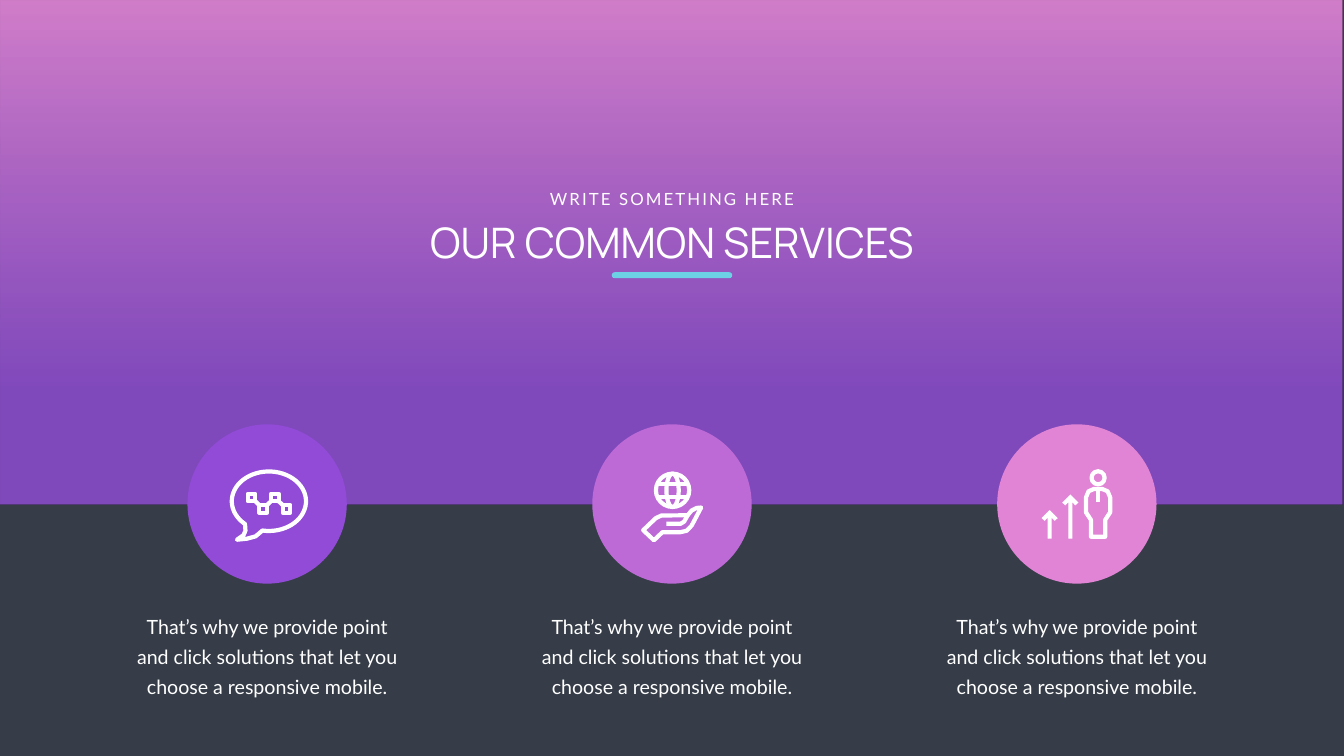
from math import cos, radians, sin

from lxml.etree import SubElement
from pptx import Presentation
from pptx.dml.color import RGBColor
from pptx.enum.shapes import MSO_CONNECTOR, MSO_SHAPE
from pptx.enum.text import MSO_ANCHOR, PP_ALIGN
from pptx.oxml.ns import qn
from pptx.util import Cm, Pt

WIDE, HIGH = 67.72, 38.1
WHITE, DARK = "FFFFFF", "363D48"
PINK, VIOLET, AQUA = "E184D6", "914BD7", "6CD1E5"
MID = WIDE / 2
EDGE = 25.4     # centre line of the circles
PITCH = 20.4    # gap between circle centres
DISC = 8.03
BODY = ("That’s why we provide point and click solutions "
        "that let you choose a responsive mobile.")


def tint(code):
    return RGBColor.from_string(code)


class Slide:
    """Draws on one slide; lengths are centimetres from (left, top)."""

    pen = 6

    def __init__(self, deck):
        self.page = deck.slides.add_slide(deck.slide_layouts[6])
        self.left = self.top = 0

    def origin(self, left, top):
        self.left, self.top = left, top

    def spot(self, x, y):
        return Cm(self.left + x), Cm(self.top + y)

    def ground(self, code):
        fill = self.page.background.fill
        fill.solid()
        fill.fore_color.rgb = tint(code)

    def paint(self, shape, fill=None, line=None):
        shape.shadow.inherit = False
        for part, code in ((shape.fill, fill), (shape.line.fill, line)):
            if code:
                part.solid()
                part.fore_color.rgb = tint(code)
            else:
                part.background()
        if line:
            shape.line.width = Pt(self.pen)
        return shape

    def form(self, kind, x, y, wide, high, fill=None, line=None):
        """Preset shape centred on (x, y)."""
        shape = self.page.shapes.add_shape(
            kind, *self.spot(x - wide / 2, y - high / 2), Cm(wide), Cm(high))
        return self.paint(shape, fill, line)

    def fade(self, shape, stops):
        shape.fill.gradient()
        shape.fill.gradient_angle = 270
        for stop, (place, code, alpha) in zip(shape.fill.gradient_stops, stops):
            stop.position = place
            stop.color.rgb = tint(code)
            node = shape.fill._xPr.findall(".//" + qn("a:srgbClr"))[-1 if place else 0]
            SubElement(node, qn("a:alpha")).set("val", str(alpha * 1000))

    def trace(self, *loops, close=True, fill=None, line=None):
        """One outline of several loops; a loop of two dots stays open."""
        pen = None
        for loop in loops:
            dots = [self.spot(x, y) for x, y in loop]
            if pen:
                pen.move_to(*dots[0])
            else:
                pen = self.page.shapes.build_freeform(*dots[0])
            pen.add_line_segments(dots[1:], close=close and len(dots) > 2)
        return self.paint(pen.convert_to_shape(), fill, line)

    def stroke(self, x1, y1, x2, y2):
        link = self.page.shapes.add_connector(
            MSO_CONNECTOR.STRAIGHT, *self.spot(x1, y1), *self.spot(x2, y2))
        link.line.width = Pt(self.pen)
        link.line.color.rgb = tint(WHITE)
        SubElement(link._element.spPr, qn("a:effectLst"))

    def text(self, words, x, y, wide, high, size, font, lead=None, space=None):
        """Centred text in a box whose top middle is (x, y)."""
        box = self.page.shapes.add_textbox(
            *self.spot(x - wide / 2, y), Cm(wide), Cm(high))
        frame = box.text_frame
        frame.word_wrap = True
        frame.vertical_anchor = MSO_ANCHOR.TOP if lead else MSO_ANCHOR.MIDDLE
        para = frame.paragraphs[0]
        run = para.add_run()
        run.text = words
        para.alignment = PP_ALIGN.CENTER
        if lead:
            para.line_spacing = Pt(lead)
        para.font.size, para.font.name = Pt(size), font
        para.font.color.rgb = tint(WHITE)
        if space:
            run.font._element.set("spc", str(space * 100))


def bubble(s):
    """Speech bubble with a small line chart."""
    arc = [(0.09 + 1.87 * cos(radians(a)), -0.14 + 1.5 * sin(radians(a)))
           for a in range(130, 461, 6)]
    tail = [(-0.58, 1.63), (-1.02, 1.75), (-1.52, 1.8), (-1.19, 1.57), (-1.09, 1.35)]
    s.trace(arc + tail, line=WHITE)
    half = 0.19
    nodes = [(-0.79 + 0.59 * i, 0.25 if i % 2 else -0.33) for i in range(4)]
    boxes = [[(x - half, y - half), (x + half, y - half),
              (x + half, y + half), (x - half, y + half)] for x, y in nodes]
    links = []
    for (x1, y1), (x2, y2) in zip(nodes, nodes[1:]):
        dip = half if y2 > y1 else -half
        links.append([(x1 + half, y1 + dip), (x2 - half, y2 - dip)])
    s.trace(*boxes, *links, line=WHITE)


def globe(s):
    """Globe above an open hand."""
    for wide in (1.68, 0.62):
        s.form(MSO_SHAPE.OVAL, 0.03, -0.69, wide, 1.68, line=WHITE)
    for y in (-0.99, -0.37):
        s.stroke(-0.76, y, 0.82, y)
    s.trace([(-1.45, 1.32), (-0.81, 0.71), (-0.53, 0.58), (0.79, 0.57),
             (0.99, 0.33), (1.24, 0.2), (1.47, 0.18), (0.99, 1.09),
             (0.74, 1.35), (0.43, 1.42), (-0.48, 1.42), (-0.91, 1.83)], line=WHITE)
    s.trace([(-0.28, 1), (0.43, 1), (0.61, 0.89), (0.79, 0.57)],
            close=False, line=WHITE)


def growth(s):
    """Person beside two rising arrows."""
    mid = 1.07
    s.form(MSO_SHAPE.OVAL, mid, -1.32, 0.66, 0.66, line=WHITE)
    half = [(0.2, -0.76), (0.48, -0.64), (0.61, -0.33),
            (0.61, 0.42), (0.36, 0.8), (0.36, 1.65)]
    s.trace([(mid + x, y) for x, y in half]
            + [(mid - x, y) for x, y in reversed(half)], line=WHITE)
    s.stroke(mid, -0.76, mid, -0.1)
    foot = 1.74
    for x, tip in ((-1.37, 0.3), (-0.33, -0.48)):
        side = [(0.41, tip + 0.41), (0.25, tip + 0.55), (0.1, tip + 0.39), (0.1, foot)]
        s.trace([(x, tip)] + [(x + dx, y) for dx, y in side]
                + [(x - dx, y) for dx, y in reversed(side)], fill=WHITE)


def main():
    deck = Presentation()
    deck.slide_width, deck.slide_height = Cm(WIDE), Cm(HIGH)
    s = Slide(deck)
    s.ground(DARK)

    # Gradient banner
    high = 25.47
    banner = s.form(MSO_SHAPE.RECTANGLE, MID, high / 2, WIDE, high)
    s.fade(banner, [(0, PINK, 90), (0.78, VIOLET, 80)])

    # Heading
    s.text("OUR COMMON SERVICES", MID, 10.76, 40.8, 2.82, 60, "Manrope")
    s.text("WRITE SOMETHING HERE", MID, 9.4, 13.06, 1.27, 24, "Lato", space=3)
    bar = s.form(MSO_SHAPE.ROUNDED_RECTANGLE, MID, 13.87, 6.07, 0.3, AQUA)
    bar.adjustments[0] = 0.5

    # Services: circle, icon and text
    items = [(VIOLET, bubble), ("BD6AD7", globe), (PINK, growth)]
    for i, (code, icon) in enumerate(items):
        s.origin(MID + (i - 1) * PITCH, EDGE)
        s.form(MSO_SHAPE.OVAL, 0, 0, DISC, DISC, code)
        icon(s)
        s.text(BODY, 0, 5.13, 14.2, 4.7, 28, "Lato", lead=43)

    deck.save("out.pptx")


if __name__ == "__main__":
    main()
